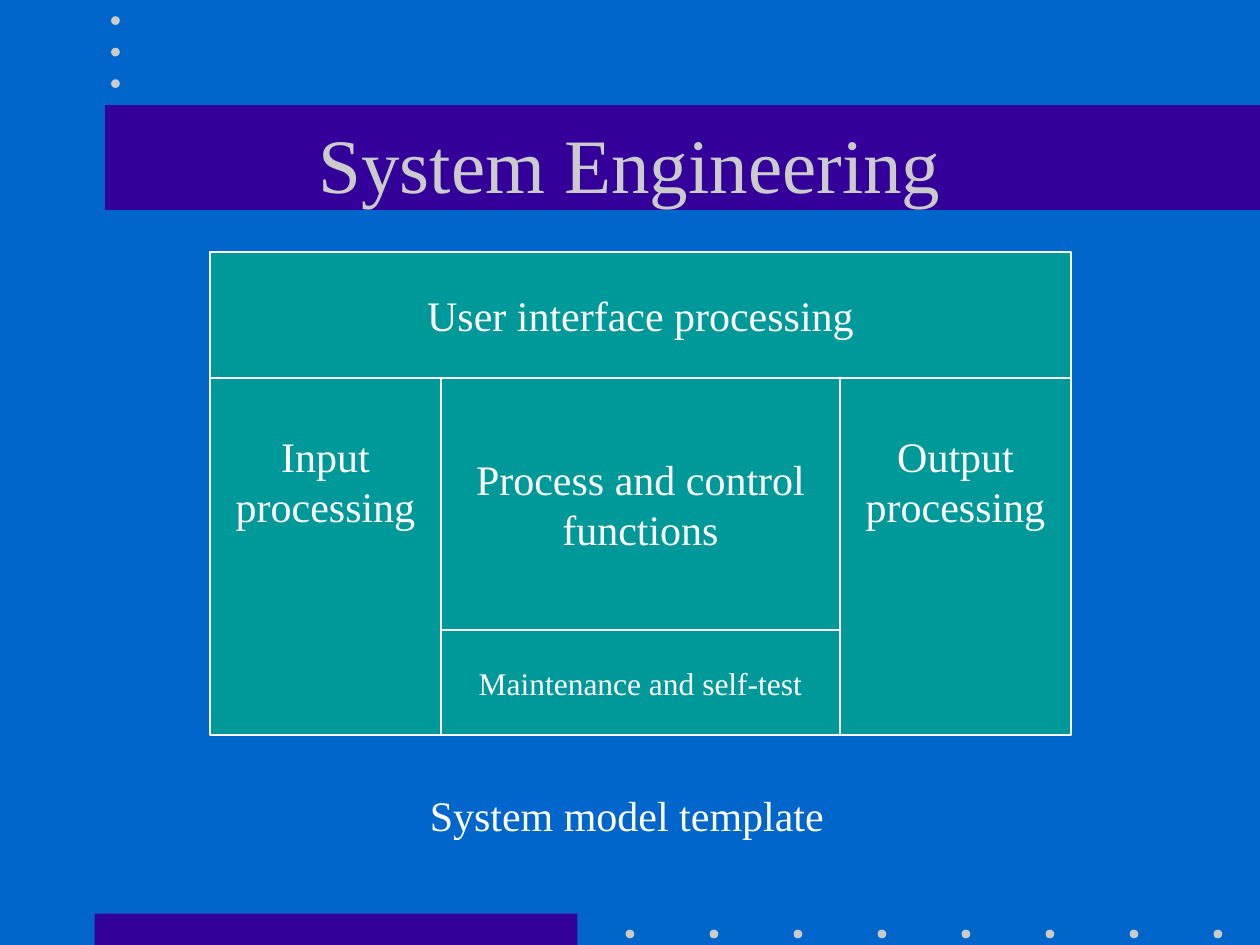
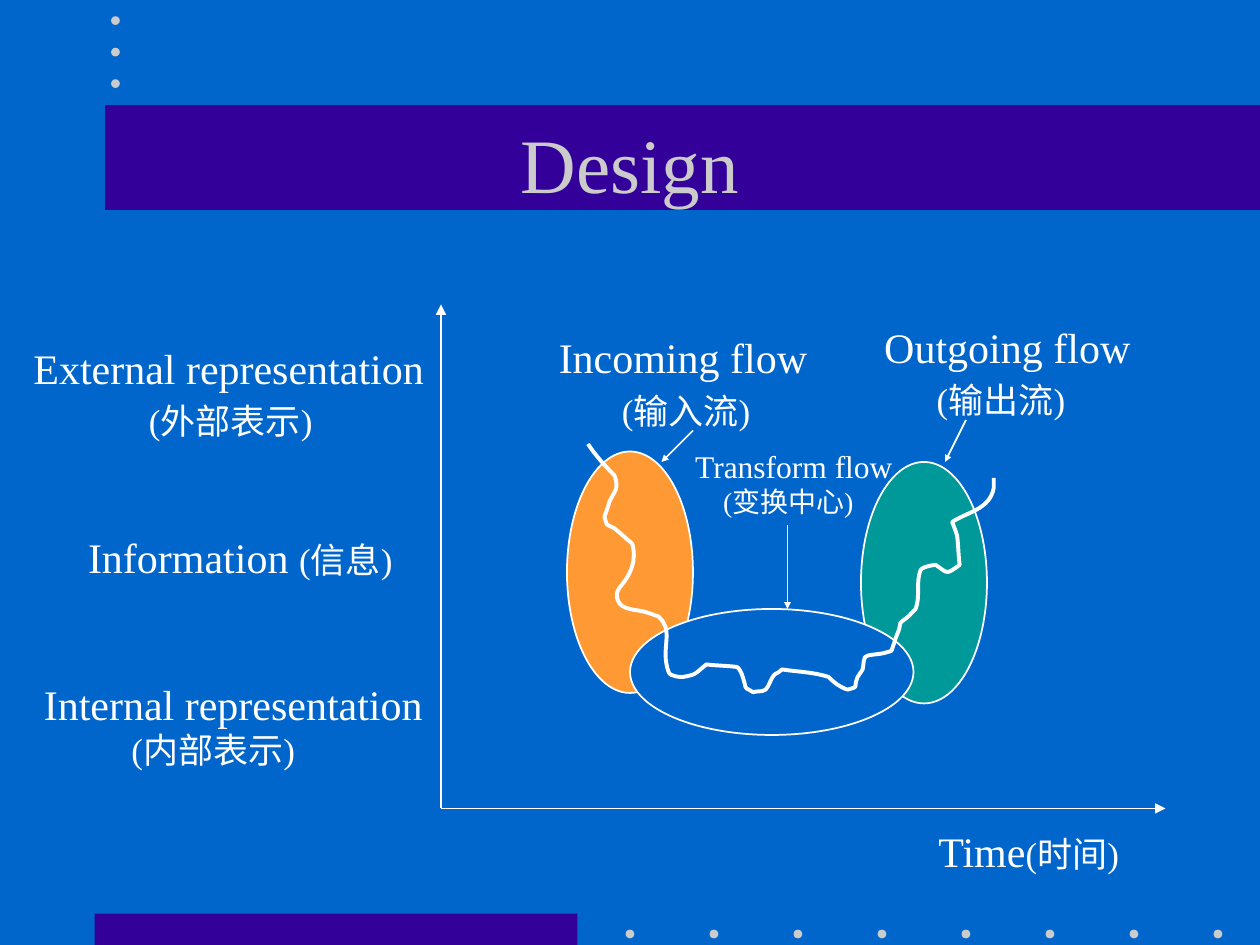
from lxml.etree import SubElement
from pptx import Presentation
from pptx.dml.color import RGBColor
from pptx.enum.shapes import MSO_CONNECTOR, MSO_SHAPE
from pptx.enum.text import MSO_ANCHOR, MSO_AUTO_SIZE, PP_ALIGN
from pptx.oxml.ns import qn
from pptx.util import Pt

RECTANGLE, OVAL = MSO_SHAPE.RECTANGLE, MSO_SHAPE.OVAL
STRAIGHT = MSO_CONNECTOR.STRAIGHT
MIDDLE, TOP = MSO_ANCHOR.MIDDLE, MSO_ANCHOR.TOP
CENTER, LEFT = PP_ALIGN.CENTER, PP_ALIGN.LEFT
NO_AUTOFIT = MSO_AUTO_SIZE.NONE

BLUE = RGBColor(0x00, 0x66, 0xCC)
PURPLE = RGBColor(0x33, 0x00, 0x99)
GREY = RGBColor(0xCB, 0xCB, 0xCB)
TEAL = RGBColor(0x00, 0x99, 0x99)
ORANGE = RGBColor(0xFF, 0x99, 0x33)
WHITE = RGBColor(0xFF, 0xFF, 0xFF)
FONT = "Times New Roman"

SLIDE_WIDTH, SLIDE_HEIGHT = 720, 540
TITLE_ONLY = 5
DOT_SIZE = 5
STREAM_UNIT = Pt(0.72)
STREAM_CURVES = [
    (5, 8, 14, 18, 21, 25), (25, 36, 21, 37, 17, 46), (16, 50, 13, 58, 13, 58),
    (14, 60, 14, 62, 15, 64), (17, 65, 19, 66, 21, 67), (26, 71, 30, 75, 35, 79),
    (39, 92, 34, 104, 25, 114), (24, 116, 23, 117, 23, 120),
    (23, 132, 36, 131, 44, 133), (48, 134, 56, 137, 56, 137),
    (69, 149, 57, 162, 64, 181), (65, 185, 75, 185, 75, 185),
    (87, 183, 85, 182, 94, 175), (102, 176, 110, 176, 118, 177),
    (122, 178, 125, 193, 125, 193), (126, 195, 129, 195, 131, 197),
    (134, 196, 138, 197, 141, 195), (144, 192, 145, 186, 148, 183),
    (150, 182, 152, 181, 154, 179), (167, 181, 179, 181, 191, 185),
    (196, 190, 200, 193, 206, 195), (216, 192, 210, 195, 214, 185),
    (215, 183, 217, 181, 218, 179), (219, 176, 218, 168, 222, 168),
    (226, 167, 231, 167, 235, 166), (237, 165, 240, 165, 241, 164),
    (242, 162, 242, 160, 243, 158), (244, 154, 246, 150, 247, 147),
    (248, 145, 247, 142, 249, 141), (257, 135, 253, 138, 260, 131),
    (264, 121, 260, 110, 264, 100), (266, 97, 276, 96, 276, 96),
    (286, 103, 284, 104, 295, 96), (294, 89, 294, 81, 293, 73),
    (292, 69, 289, 62, 289, 62), (301, 54, 319, 52, 322, 35),
    (322, 32, 322, 30, 322, 27),
]


def write(frame, paragraphs, color=WHITE, align=LEFT, anchor=TOP, wrap=False,
          indent=0, gap=0, bottom=3.6):
    """Fill a frame with paragraphs of (text, size) runs; indent and gap apply after the first."""
    frame.word_wrap = wrap
    frame.auto_size = NO_AUTOFIT
    frame.vertical_anchor = anchor
    frame.margin_bottom = Pt(bottom)
    for index, runs in enumerate(paragraphs):
        paragraph = frame.add_paragraph() if index else frame.paragraphs[0]
        paragraph.alignment = align
        if index:
            paragraph.space_before = Pt(gap)
            paragraph._p.get_or_add_pPr().set("marL", str(Pt(indent)))
        for text, size in runs:
            run = paragraph.add_run()
            run.text = text
            run.font.name = FONT
            run.font.size = Pt(size)
            run.font.color.rgb = color


def add_block(slide, kind, box, fill, outlined=True):
    """Add a flat preset shape, with a thin white outline if wanted."""
    block = slide.shapes.add_shape(kind, *map(Pt, box))
    block.shadow.inherit = False
    block.fill.solid()
    block.fill.fore_color.rgb = fill
    if outlined:
        block.line.color.rgb = WHITE
        block.line.width = Pt(1)
    else:
        block.line.fill.background()
    return block


def add_arrow(slide, start, end, head="med"):
    """Add a thin white arrow between two points."""
    arrow = slide.shapes.add_connector(STRAIGHT, *map(Pt, (*start, *end)))
    arrow.line.color.rgb = WHITE
    arrow.line.width = Pt(1)
    properties = arrow.element.spPr
    SubElement(properties.find(qn("a:ln")), qn("a:tailEnd"), type="triangle", w=head, len=head)
    SubElement(properties, qn("a:effectLst"))


def decorate_master(master, slide):
    """Build bands and dots on a slide and move them to the master."""
    master.background.fill.solid()
    master.background.fill.fore_color.rgb = BLUE
    bands = [(54, 522, 276, 18), (60, 60, 660, 60)]
    centres = [(360 + 48 * i, 533.75) for i in range(8)]
    centres += [(66, 11.8 + 18 * i) for i in range(3)]
    half = DOT_SIZE / 2
    decor = [add_block(slide, RECTANGLE, band, PURPLE, False) for band in bands]
    decor += [add_block(slide, OVAL, (x - half, y - half, DOT_SIZE, DOT_SIZE), GREY, False)
              for x, y in centres]
    for part in decor:
        master.shapes.element.append(part.element)


def add_title(slide, text):
    """Place and format the slide title over the purple band."""
    title = slide.shapes.title
    title.left, title.top, title.width, title.height = map(Pt, (54, 48, 612, 90))
    write(title.text_frame, [[(text, 44)]], color=GREY, align=CENTER, anchor=MIDDLE, wrap=True)


def add_label(slide, box, paragraphs, **style):
    """Add a text box."""
    label = slide.shapes.add_textbox(*map(Pt, box))
    write(label.text_frame, paragraphs, **style)


def draw_system_model(slide, left, top, width, height):
    """Draw the five regions of the system model template and its caption."""
    side, header, footer = 132, 72, 60
    middle = width - 2 * side
    core = height - header - footer
    regions = [
        (0, 0, width, header, ["User interface processing"], 24, 3.6),
        (0, header, side, height - header, ["Input", "processing"], 24, 90),
        (width - side, header, side, height - header, ["Output", "processing"], 24, 90),
        (side, header, middle, core, ["Process and control", "functions"], 24, 3.6),
        (side, header + core, middle, footer, ["Maintenance and self-test"], 18, 3.6),
    ]
    for x, y, w, h, lines, size, bottom in regions:
        region = add_block(slide, RECTANGLE, (left + x, top + y, w, h), TEAL)
        write(region.text_frame, [[(line, size)] for line in lines],
              align=CENTER, anchor=MIDDLE, bottom=bottom)
    add_label(slide, (left + 118.5, top + height + 27.4, 240, 36),
              [[("System model template", 24)]])


def draw_stream(slide, left, top):
    """Draw the wavy information stream as chained cubic curves from its starting point."""
    builder = slide.shapes.build_freeform(0, 0, scale=STREAM_UNIT)
    builder.add_line_segments([curve[-2:] for curve in STREAM_CURVES], close=False)
    stream = builder.convert_to_shape(Pt(left), Pt(top))
    segments = list(stream.element.iter(qn("a:lnTo")))
    for segment, curve in zip(segments, STREAM_CURVES):
        segment.remove(segment[0])
        segment.tag = qn("a:cubicBezTo")
        for x, y in zip(curve[::2], curve[1::2]):
            SubElement(segment, qn("a:pt"), x=str(x), y=str(y))
    stream.shadow.inherit = False
    stream.fill.background()
    stream.line.color.rgb = WHITE
    stream.line.width = Pt(2.25)


def draw_flow_chart(slide, left, top, width, height):
    """Draw the axes, the three flows, the stream and all labels."""
    origin = (left, top + height)
    add_arrow(slide, origin, (left, top))
    add_arrow(slide, origin, (left + width, top + height))
    flows = [(72, 84, 72, 138, ORANGE), (240, 90, 72, 138, TEAL), (108, 174, 162, 72, BLUE)]
    for x, y, w, h, fill in flows:
        add_block(slide, OVAL, (left + x, top + y, w, h), fill)
    draw_stream(slide, left + 84, top + 79.7)
    labels = [
        (-208.8, 126, 198, 36, [[("Information ", 24), ("(信息)", 20)]], 0, 0),
        (-240, 18, 243, 65, [[("External representation", 24)], [("(外部表示)", 20)]], 66, 4),
        (-234, 210, 231, 60, [[("Internal representation", 24)], [("(内部表示)", 20)]], 50, 0),
        (277.2, 294, 128, 36, [[("Time", 24), ("(时间)", 20)]], 0, 0),
        (60.2, 12, 162, 65, [[("Incoming flow", 24)], [("(输入流)", 20)]], 36, 4),
        (246.2, 6, 155, 65, [[("Outgoing flow", 24)], [("(输出流)", 20)]], 30, 4),
        (138.2, 78, 127.5, 48, [[("Transform flow", 18)], [("(变换中心)", 16)]], 16, 0),
    ]
    for x, y, w, h, paragraphs, indent, gap in labels:
        add_label(slide, (left + x, top + y, w, h), paragraphs, indent=indent, gap=gap)
    pointers = [(144, 72, 126, 90), (300, 66, 288, 90), (198, 126, 198, 174)]
    for x1, y1, x2, y2 in pointers:
        add_arrow(slide, (left + x1, top + y1), (left + x2, top + y2), head="sm")


def main():
    """Build the two slides and save them."""
    deck = Presentation()
    deck.slide_width, deck.slide_height = Pt(SLIDE_WIDTH), Pt(SLIDE_HEIGHT)
    layout = deck.slide_layouts[TITLE_ONLY]
    engineering, design = (deck.slides.add_slide(layout) for _ in range(2))
    decorate_master(deck.slide_master, engineering)
    add_title(engineering, "System Engineering")
    draw_system_model(engineering, 120, 144, 492, 276)
    add_title(design, "Design")
    draw_flow_chart(design, 252, 174, 414, 288)
    deck.save("out.pptx")


if __name__ == "__main__":
    main()
